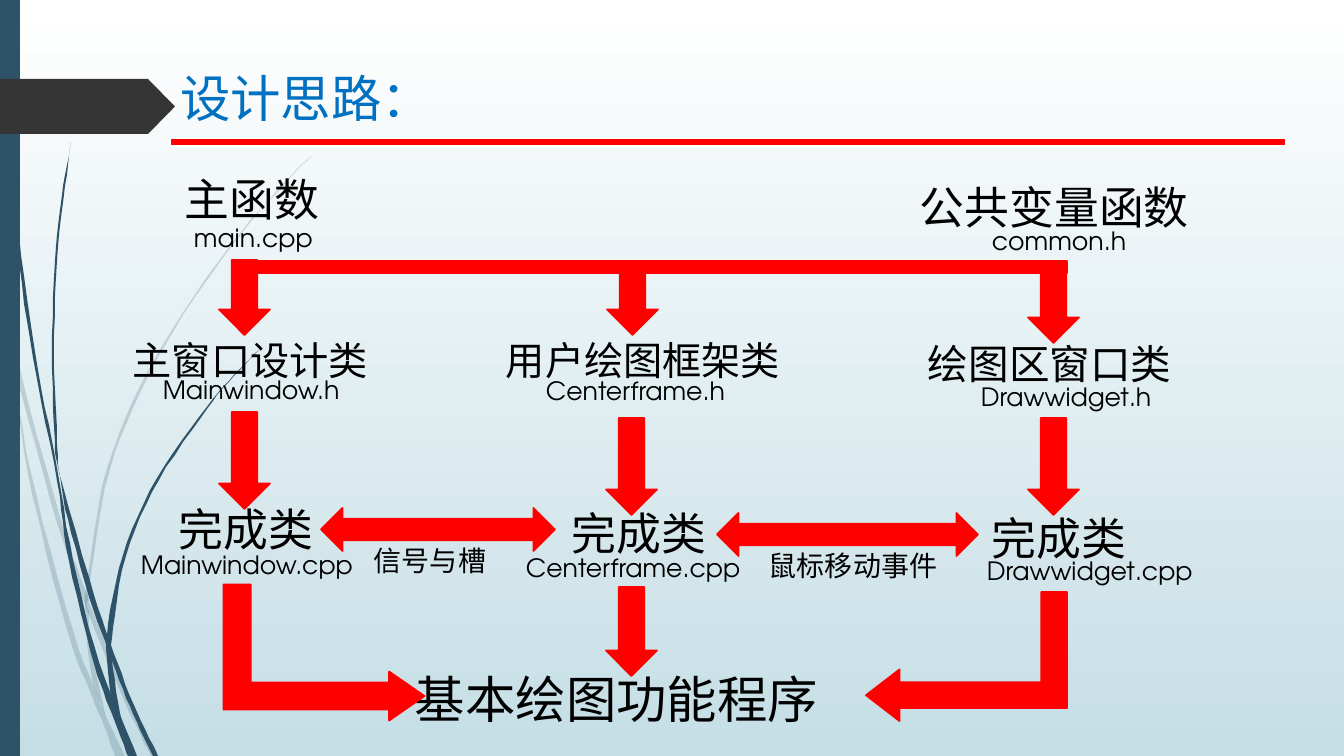
from lxml.etree import SubElement
from pptx import Presentation
from pptx.dml.color import RGBColor
from pptx.enum.dml import MSO_FILL
from pptx.enum.shapes import MSO_SHAPE as Preset
from pptx.enum.text import MSO_ANCHOR, MSO_AUTO_SIZE, PP_ALIGN
from pptx.oxml.ns import qn
from pptx.util import Emu, Pt

PIXEL = 12192000 / 1344
WIDTH, HEIGHT = 1344, 756
BLUE = RGBColor(0x2E, 0x53, 0x69)
DARK = RGBColor(0x35, 0x35, 0x35)
RED = RGBColor(0xFF, 0x00, 0x00)
WHITE = RGBColor(0xFF, 0xFF, 0xFF)
BLACK = RGBColor(0x00, 0x00, 0x00)
PALE = RGBColor(0xC5, 0xDE, 0xE5)
TITLE_BLUE = RGBColor(0x00, 0x70, 0xC0)
TITLE_FONT, LABEL_FONT = "Noto Sans CJK SC", "TeX Gyre Adventor"

# Each strand is a pair of edges: one going along it, one coming back
FAINT_STRANDS = [
    ([(0, 284), (11, 353), (31, 473), (71, 624), (94, 688), (106, 717), (125, 756)],
     [(115, 756), (102, 720), (93, 699), (66, 626), (28, 474), (11, 353), (0, 301)]),
    ([(14, 348), (62, 524), (86, 591), (93, 612), (128, 698), (156, 756)],
     [(151, 756), (124, 700), (89, 615), (58, 526), (17, 379)]),
    ([(314, 154), (292, 176), (231, 247), (161, 352), (111, 466), (89, 589), (89, 615),
      (92, 651), (106, 717)],
     [(94, 688), (88, 651), (85, 604), (86, 589), (108, 465), (159, 351), (230, 246),
      (291, 176), (314, 154)]),
]
SOLID_STRANDS = [
    ([(4, 0), (8, 110), (19, 234), (36, 358), (55, 457), (73, 560), (99, 662), (137, 756)],
     [(128, 756), (112, 714), (94, 664), (69, 561), (57, 481), (33, 358), (17, 235), (3, 0)]),
    ([(60, 476), (94, 595), (114, 654), (137, 712), (158, 756)],
     [(153, 756), (133, 714), (112, 661), (89, 597), (65, 509)]),
    ([(71, 142), (64, 195), (58, 247), (54, 352), (58, 457), (60, 476)],
     [(55, 453), (52, 352), (56, 247), (62, 195), (71, 142)]),
    ([(262, 347), (233, 377), (207, 409), (159, 480), (126, 556), (112, 638), (112, 661),
      (122, 722), (134, 755)],
     [(127, 755), (117, 712), (111, 697), (107, 636), (123, 555), (157, 478), (206, 408),
      (233, 376), (262, 347)]),
]


def px(value):
    return Emu(round(value * PIXEL))


def paint(shape, fill, line=None):
    shape.shadow.inherit = False
    shape.fill.solid()
    shape.fill.fore_color.rgb = fill
    if line is None:
        shape.line.fill.background()
    else:
        shape.line.color.rgb = line
        shape.line.width = Pt(1.25)
    return shape


def add_preset(slide, preset, left, top, width, height, fill=RED, line=RED):
    shape = slide.shapes.add_shape(preset, px(left), px(top), px(width), px(height))
    return paint(shape, fill, line)


def add_run(paragraph, text, size, font, color):
    run = paragraph.add_run()
    run.text = text
    run.font.size, run.font.name = Pt(size), font
    run.font.color.rgb = color
    SubElement(run.font._element, qn("a:ea")).set("typeface", font)


def add_label(slide, text, left, top, width, size):
    height = round(size * 1.68 + 10)
    box = slide.shapes.add_textbox(px(left), px(top), px(width), px(height))
    box.text_frame.word_wrap = True
    add_run(box.text_frame.paragraphs[0], text, size, LABEL_FONT, BLACK)


def smooth(points, steps=6):
    """Catmull-Rom curve through the points."""
    padded = [points[0], *points, points[-1]]
    curve = []
    for a, b, c, d in zip(padded, padded[1:], padded[2:], padded[3:]):
        for step in range(steps):
            t = step / steps
            curve.append(tuple(
                (2 * q + (r - p) * t + (2 * p - 5 * q + 4 * r - s) * t ** 2
                 + (3 * q - p - 3 * r + s) * t ** 3) / 2
                for p, q, r, s in zip(a, b, c, d)))
    return curve + [points[-1]]


def draw_strands(slide, box, strands, opacity=100):
    left, top = box
    for along, back in strands:
        outline = [(left + x, top + y) for x, y in smooth(along) + smooth(back)]
        builder = slide.shapes.build_freeform(*outline[0], scale=PIXEL)
        builder.add_line_segments(outline[1:], close=True)
        shape = paint(builder.convert_to_shape(), BLUE)
        if opacity < 100:
            color = shape.fill._xPr.find(qn("a:solidFill"))[0]
            SubElement(color, qn("a:alpha")).set("val", str(opacity * 1000))


def draw_backdrop(slide, box):
    fill = slide.background.fill
    fill.gradient()
    fill.gradient_angle = 270
    for stop, color, position in zip(fill.gradient_stops, (WHITE, PALE), (0, 1)):
        stop.color.rgb, stop.position = color, position
    draw_strands(slide, box, FAINT_STRANDS, 20)
    draw_strands(slide, box, SOLID_STRANDS)
    left, top = box
    add_preset(slide, Preset.RECTANGLE, left, top, 20, HEIGHT, BLUE, None)
    tag = add_preset(slide, Preset.PENTAGON, left, top + 79, 175, 55, DARK, None)
    tag.adjustments[0] = 0.49


def draw_header(slide, box):
    left, top = box
    title = slide.shapes.title
    title.left, title.top, title.width, title.height = map(px, (left, top, 1098, 76))
    frame = title.text_frame
    frame.word_wrap, frame.auto_size = True, MSO_AUTO_SIZE.NONE
    frame.vertical_anchor = MSO_ANCHOR.TOP
    frame.paragraphs[0].alignment = PP_ALIGN.LEFT
    add_run(frame.paragraphs[0], "设计思路：", 36, TITLE_FONT, TITLE_BLUE)
    add_preset(slide, Preset.FLOWCHART_PROCESS, left, top + 76, 1116, 8, RED, WHITE)


def draw_row(slide, box, labels, arrows=()):
    """Labels and down arrows of one level of the flow."""
    left, top = box
    for text, x, y, width, size in labels:
        add_label(slide, text, left + x, top + y, width, size)
    for x, y, height in arrows:
        add_preset(slide, Preset.DOWN_ARROW, left + x, top + y, 51, height)


def draw_sources(slide, box):
    left, top = box
    add_preset(slide, Preset.RECTANGLE, left + 135, top + 94, 809, 12)
    draw_row(slide, box, [
        ("主函数", 52, 0, 225, 32), ("main.cpp", 61, 50, 172, 18),
        ("公共变量函数", 787, 8, 313, 32), ("common.h", 859, 53, 206, 18),
    ], [(96, 93, 75), (484, 101, 67), (905, 101, 75)])


def draw_classes(slide, box):
    draw_row(slide, box, [
        ("主窗口设计类", 0, 0, 270, 28), ("Mainwindow.h", 30, 38, 252, 18),
        ("用户绘图框架类", 373, 0, 338, 28), ("Centerframe.h", 413, 39, 252, 18),
        ("绘图区窗口类", 795, 3, 313, 29), ("Drawwidget.h", 848, 45, 210, 18),
    ], [(96, 81, 97), (483, 87, 97), (905, 87, 97)])


def draw_implementations(slide, box):
    left, top = box
    draw_row(slide, box, [
        ("完成类", 46, 0, 177, 32), ("Mainwindow.cpp", 8, 47, 252, 18),
        ("完成类", 439, 4, 156, 32), ("Centerframe.cpp", 393, 50, 252, 18),
        ("完成类", 859, 9, 156, 32), ("Drawwidget.cpp", 854, 53, 252, 18),
        ("信号与槽", 241, 42, 156, 20), ("鼠标移动事件", 636, 47, 261, 20),
    ], [(483, 90, 89)])
    for x, y, width in [(198, 11, 234), (594, 16, 261)]:
        add_preset(slide, Preset.LEFT_RIGHT_ARROW, left + x, top + y, width, 43)


def draw_result(slide, box):
    left, top = box
    draw_row(slide, box, [("基本绘图功能程序", 282, 111, 500, 36)])
    bent_arrows = [(133, 0, 136, 270, 0.18, ("flipH", "flipV")),
                   (779, 4, 129, 90, 0.2, ("flipV",))]
    for x, y, width, rotation, head, flips in bent_arrows:
        arrow = add_preset(slide, Preset.BENT_UP_ARROW, left + x, top + y, width, 201)
        arrow.rotation = rotation
        for index, value in enumerate((0.2, head, 0.26)):
            arrow.adjustments[index] = value
        for flip in flips:
            arrow._element.spPr.find(qn("a:xfrm")).set(flip, "1")


presentation = Presentation()
presentation.slide_width, presentation.slide_height = px(WIDTH), px(HEIGHT)
slide = presentation.slides.add_slide(presentation.slide_layouts[5])
draw_backdrop(slide, (0, 0))
draw_header(slide, (170, 62))
draw_sources(slide, (123, 167))
draw_classes(slide, (123, 331))
draw_implementations(slide, (123, 497))
draw_result(slide, (123, 552))
presentation.save("out.pptx")
